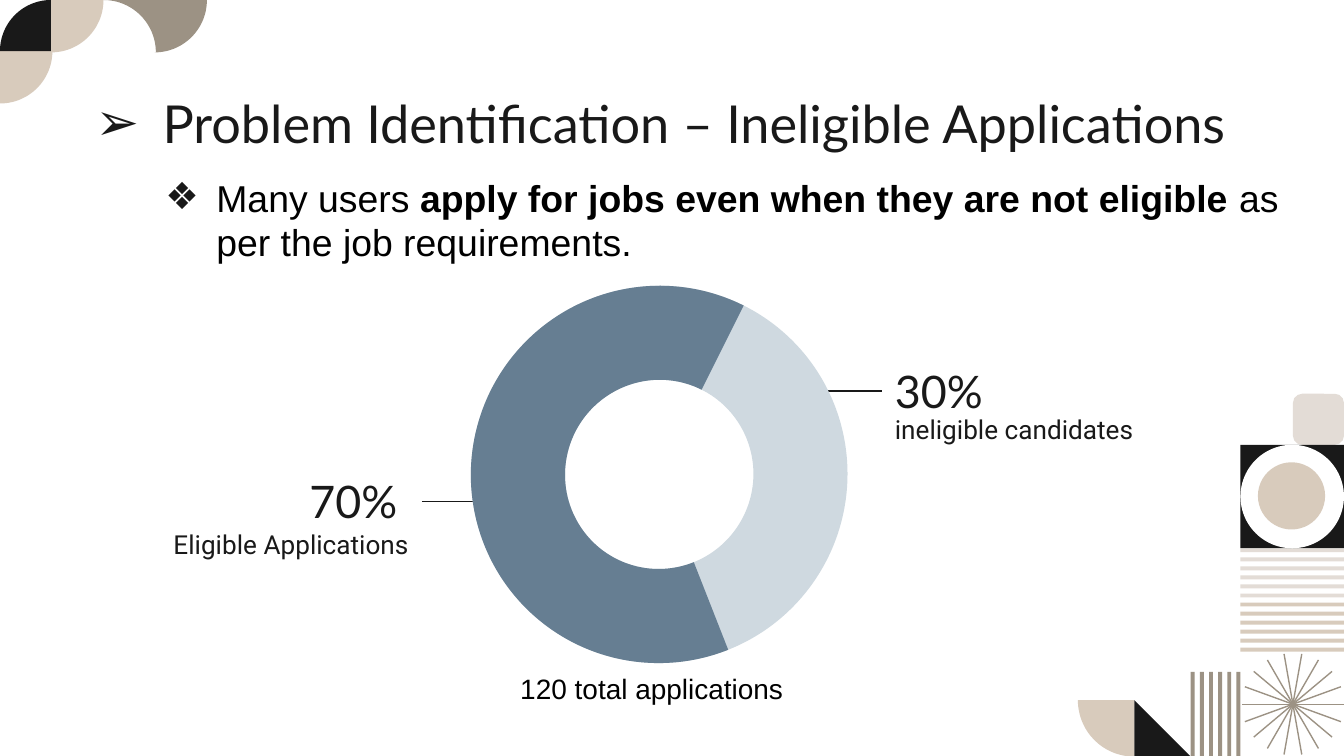
from math import cos, radians, sin

from lxml.etree import SubElement
from pptx import Presentation
from pptx.dml.color import RGBColor
from pptx.enum.shapes import MSO_CONNECTOR as Link, MSO_SHAPE as Preset
from pptx.enum.text import MSO_ANCHOR as Anchor, MSO_AUTO_SIZE as AutoSize, PP_ALIGN as Align
from pptx.oxml.ns import qn
from pptx.util import Inches, Pt

INK, SAND, PALE, STONE = "191919", "D8CBBC", "E3DCD6", "9C9284"


def paint(fill, color):
    fill.solid()
    fill.fore_color.rgb = RGBColor.from_string(color)


def arc(x, y, radius, start, sweep=90):
    """Points in inches along an arc, angles running clockwise from the right."""
    angles = [radians(start + sweep * i / 30) for i in range(31)]
    return [(x + radius * cos(a), y + radius * sin(a)) for a in angles]


deck = Presentation()
deck.slide_width = Inches(10)
deck.slide_height = Inches(10) * 9 // 16
page = deck.slides.add_slide(deck.slide_layouts[1])
shapes = page.shapes

# Corner ornaments
outlines = [
    ([(0, 0.38)] + arc(0, 0.38, 0.39, 0), SAND),
    ([(0.38, 0.38)] + arc(0.38, 0.38, 0.38, 180), INK),
    ([(0.38, 0)] + arc(0.38, 0, 0.39, 0), SAND),
    (arc(1.15, 0, 0.39, 0) + arc(0.77, 0.39, 0.39, 0, -90), STONE),
    ([(8.44, 5.21)] + arc(8.44, 5.21, 0.42, 90), SAND),
    ([(8.44, 5.21), (8.86, 5.63), (8.44, 5.63)], INK),
]
for points, color in outlines:
    corners = [(Inches(x), Inches(y)) for x, y in points]
    builder = shapes.build_freeform(*corners[0])
    builder.add_line_segments(corners[1:])
    ornament = builder.convert_to_shape()
    ornament.shadow.inherit = False
    paint(ornament.fill, color)
    ornament.line.fill.background()

# Tiles, stripes and the ring: preset, position and size, colour, adjustments, rotation
blocks = [
    (Preset.RECTANGLE, (9.23, 4.08 + i * 0.74 / 11, 0.77, 0.03), PALE if i < 6 else SAND, [], 0)
    for i in range(12)
]
blocks += [
    (Preset.RECTANGLE, (8.86 + i * 0.34 / 5, 5, 0.03, 0.63), STONE, [], 0)
    for i in range(6)
]
blocks += [
    (Preset.ROUNDED_RECTANGLE, (9.62, 2.93, 0.38, 0.38), PALE, [0.18], 0),
    (Preset.RECTANGLE, (9.23, 3.31, 0.77, 0.77), INK, [], 0),
    (Preset.OVAL, (9.23, 3.31, 0.77, 0.77), "FFFFFF", [], 0),
    (Preset.OVAL, (9.36, 3.44, 0.5, 0.5), SAND, [], 0),
]
ring = (3.5, 2.13, 2.81, 2.8)
ring_blocks = [
    (Preset.DONUT, ring, "CFD9E0", [0.25], 296.6),
    (Preset.BLOCK_ARC, ring, "667E92", [79.14, 0, 0.25], 296.6),
]

# Starburst spokes and the leader lines that run under the ring
lines = [
    (Link.STRAIGHT, (9.62, 5.24), arc(9.62, 5.24, 0.38, 20 * i)[0], STONE)
    for i in range(18)
]
lines += [
    (Link.ELBOW, (6.56, 2.91), (5.35, 2.91), INK),
    (Link.ELBOW, (3.14, 3.73), (3.91, 3.74), INK),
]
for kind, begin, end, color in lines:
    line = shapes.add_connector(kind, *map(Inches, begin + end))
    line.line.width = Pt(0.75)
    paint(line.line.fill, color)
    SubElement(line._element.spPr, qn("a:effectLst"))

for preset, place, color, adjustments, rotation in blocks + ring_blocks:
    block = shapes.add_shape(preset, *map(Inches, place))
    block.shadow.inherit = False
    paint(block.fill, color)
    block.line.fill.background()
    block.rotation = rotation
    for i, value in enumerate(adjustments):
        block.adjustments[i] = value

# Title and bullet: placeholder, place, indent, bullet, font, size, colour, spans with bold
headings = [
    (shapes.title, (0.61, 0.58, 9.47, 0.63), 0.5, "➢", "Lato", 28, INK,
     [("Problem Identification – Ineligible Applications", False)]),
    (page.placeholders[1], (1.13, 1.2, 8.71, 0.63), 0.38, "❖", "Arial", 20, "000000",
     [("Many users ", False),
      ("apply for jobs even when they are not eligible", True),
      (" as per the job requirements.", False)]),
]
for box, place, indent, bullet, font, size, color, spans in headings:
    box.left, box.top, box.width, box.height = map(Inches, place)
    frame = box.text_frame
    frame.word_wrap = True
    frame.auto_size = AutoSize.NONE
    frame.vertical_anchor = Anchor.TOP
    frame.margin_left = frame.margin_right = Inches(0.1)
    frame.margin_top = frame.margin_bottom = Inches(0.1)
    para = frame.paragraphs[0]
    props = para._p.get_or_add_pPr()
    props.set("marL", str(Inches(indent)))
    props.set("indent", str(-Inches(indent)))
    SubElement(SubElement(props, qn("a:buClr")), qn("a:srgbClr"), val=INK)
    SubElement(props, qn("a:buFont"), typeface="Arial")
    SubElement(props, qn("a:buChar"), char=bullet)
    para.alignment = Align.LEFT
    para.space_before = Pt(0)
    for text, bold in spans:
        span = para.add_run()
        span.text = text
        span.font.name, span.font.size, span.font.bold = font, Pt(size), bold
        paint(span.font.fill, color)

# Ring labels
labels = [
    ("120 total applications", (2.72, 5.01, 4.26, 0.23), Align.CENTER, "Arial", 15, "000000"),
    ("30%", (6.56, 2.71, 2.3, 0.39), Align.LEFT, "Lato", 24, INK),
    ("ineligible candidates", (6.56, 2.94, 2.3, 0.51), Align.LEFT, "Roboto", 14, INK),
    ("70% ", (0.84, 3.53, 2.3, 0.39), Align.RIGHT, "Lato", 24, INK),
    ("Eligible Applications", (0.84, 3.8, 2.3, 0.5), Align.RIGHT, "Roboto", 14, INK),
]
for text, place, align, font, size, color in labels:
    frame = shapes.add_textbox(*map(Inches, place)).text_frame
    frame.word_wrap = True
    frame.vertical_anchor = Anchor.MIDDLE
    frame.margin_left = frame.margin_right = Inches(0.1)
    frame.margin_top = frame.margin_bottom = Inches(0.1)
    frame.text = text
    para = frame.paragraphs[0]
    para.alignment = align
    span = para.runs[0]
    span.font.name, span.font.size = font, Pt(size)
    paint(span.font.fill, color)

deck.save("out.pptx")
